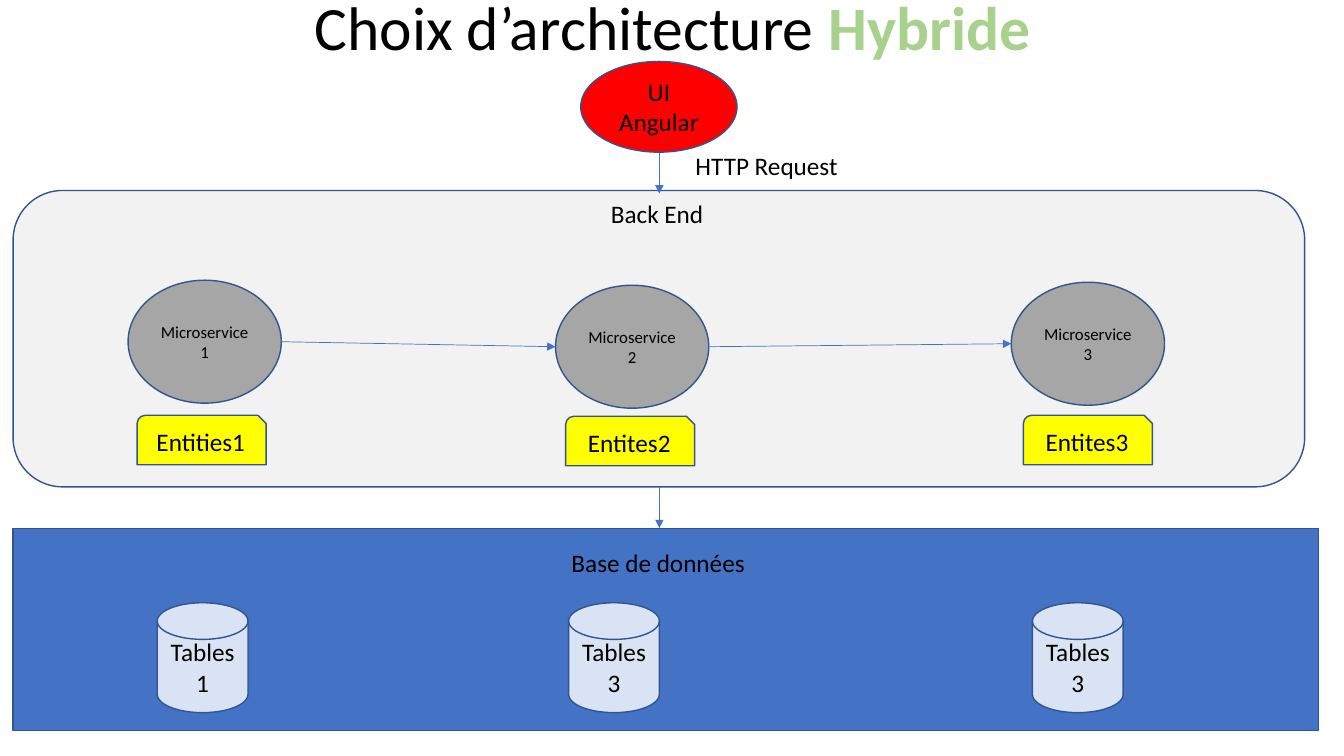
"""Build the hybrid architecture slide: UI, back end microservices and database."""
from lxml import etree
from pptx import Presentation
from pptx import util as u
from pptx.dml.color import RGBColor
from pptx.enum import shapes, text
from pptx.oxml.ns import qn

PX = 9144
COLORS = {
    "text": "000000", "accent": "A9D18E", "outline": "325491", "arrow": "4472C4",
    "ui": "FF0000", "backend": "F2F2F2", "database": "4472C4",
    "service": "A6A6A6", "entity": "FFFF00", "table": "DAE3F3",
}
KIND = shapes.MSO_SHAPE


def write(sp, label, size, align):
    tf = sp.text_frame
    tf.word_wrap = True
    tf.text = label
    p = tf.paragraphs[0]
    p.alignment = align
    for r in p.runs:
        r.font.size = u.Pt(size)
        r.font.name = "Calibri"
        r.font.color.rgb = RGBColor.from_string(COLORS["text"])
    return p


def add_box(kind, box, color, label="", size=18):
    sp = slide.shapes.add_shape(kind, *(v * PX for v in box))
    sp.shadow.inherit = False
    sp.fill.solid()
    sp.fill.fore_color.rgb = RGBColor.from_string(COLORS[color])
    sp.line.color.rgb = RGBColor.from_string(COLORS["outline"])
    sp.line.width = u.Pt(1)
    if label:
        write(sp, label, size, text.PP_ALIGN.CENTER)


prs = Presentation()
prs.slide_width, prs.slide_height = 1333 * PX, 750 * PX
slide = prs.slides.add_slide(prs.slide_layouts[5])

title = slide.shapes.title
title.left, title.top, title.width, title.height = (v * PX for v in (92, -31, 1150, 122))
title.text_frame.auto_size = text.MSO_AUTO_SIZE.NONE
title.text_frame.vertical_anchor = text.MSO_ANCHOR.MIDDLE
p = write(title, "Choix d’architecture ", 44, text.PP_ALIGN.CENTER)
p.line_spacing = 0.9
r = p.add_run()
r.text = "Hybride"
r.font.size = u.Pt(44)
r.font.name = "Calibri"
r.font.bold = True
r.font.color.rgb = RGBColor.from_string(COLORS["accent"])

add_box(KIND.OVAL, (576, 61, 155, 90), "ui", "UI\vAngular")
add_box(KIND.ROUNDED_RECTANGLE, (13, 189, 1281, 294), "backend")
add_box(KIND.RECTANGLE, (13, 524, 1295, 201), "database")

columns = [
    ("Microservice1", (127, 278), "Entities1", (136, 412), "Tables1", 156),
    ("Microservice2", (551, 283), "Entites2", (561, 413), "Tables3", 564),
    ("Microservice3", (1003, 280), "Entites3", (1015, 412), "Tables3", 1024),
]
for service, service_at, entity, entity_at, table, table_x in columns:
    add_box(KIND.OVAL, (*service_at, 152, 122), "service", service, 12)
    add_box(KIND.SNIP_ROUND_RECTANGLE, (*entity_at, 128, 49), "entity", entity)
    add_box(KIND.FLOWCHART_MAGNETIC_DISK, (table_x, 598, 90, 109), "table", table)

labels = [
    ("HTTP Request", (680, 144, 176, 40)),
    ("Back End", (596, 192, 128, 40)),
    ("Base de données", (557, 538, 203, 40)),
]
for label, box in labels:
    sp = slide.shapes.add_textbox(*(v * PX for v in box))
    write(sp, label, 18, text.PP_ALIGN.LEFT)
    sp.text_frame.auto_size = text.MSO_AUTO_SIZE.SHAPE_TO_FIT_TEXT

arrows = [
    (654, 152, 654, 192),
    (278, 339, 551, 344),
    (702, 344, 1003, 341),
    (654, 483, 654, 524),
]
for ends in arrows:
    arrow = slide.shapes.add_connector(shapes.MSO_CONNECTOR.STRAIGHT, *(v * PX for v in ends))
    arrow.line.color.rgb = RGBColor.from_string(COLORS["arrow"])
    arrow.line.width = u.Pt(0.5)
    etree.SubElement(arrow.line._get_or_add_ln(), qn("a:tailEnd"), type="triangle")
    etree.SubElement(arrow._element.spPr, qn("a:effectLst"))

prs.save("out.pptx")
